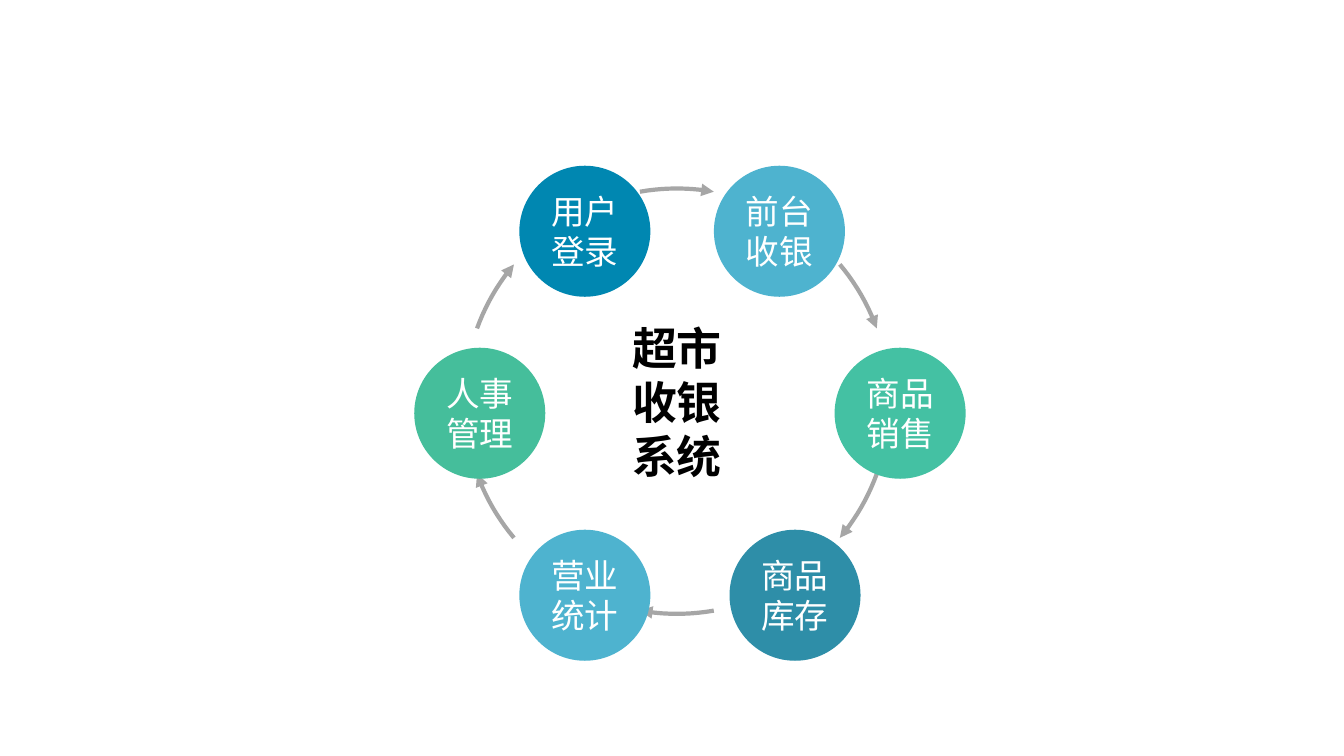
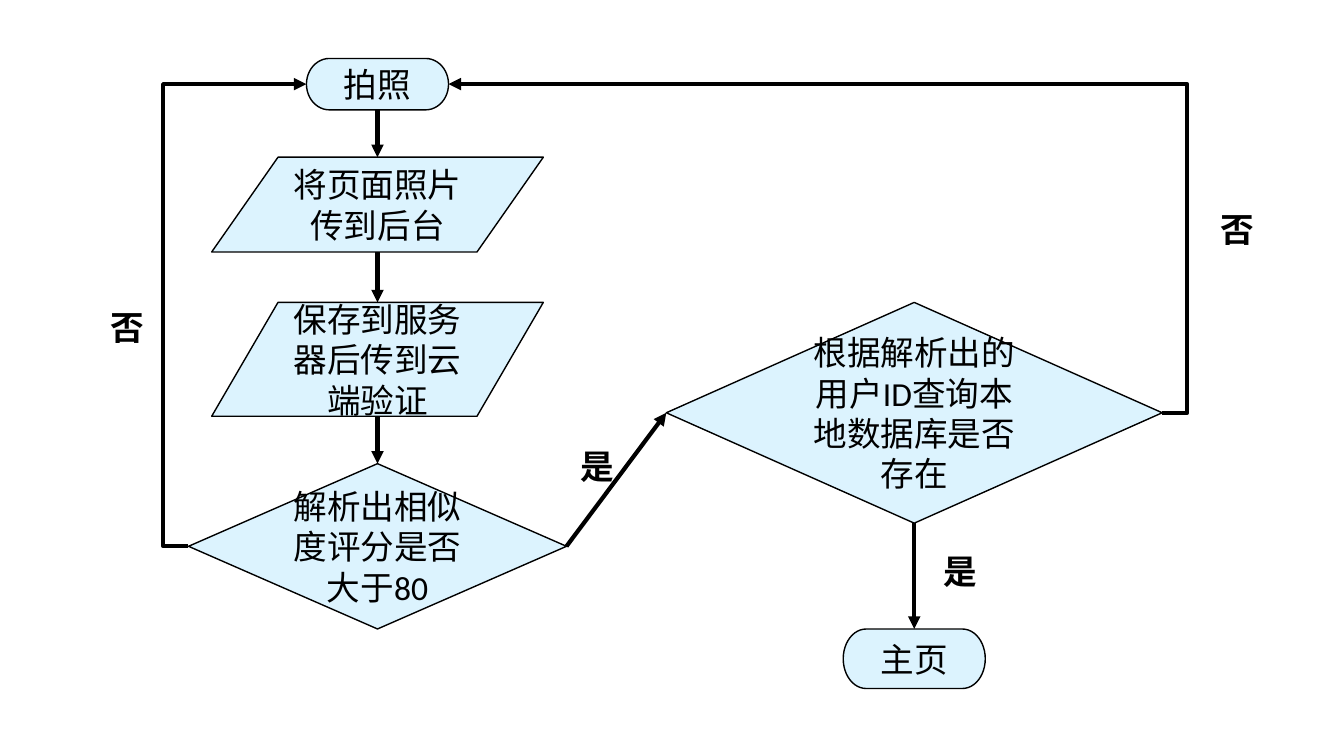
"""Build a cycle diagram and a flowchart, measured on a grid of 0.1 inch cells."""
import dataclasses
import math

import lxml.etree
import pptx
import pptx.dml.color
import pptx.enum.shapes
import pptx.enum.text
import pptx.oxml.ns
import pptx.util

SHAPE = pptx.enum.shapes.MSO_SHAPE
CONNECTOR = pptx.enum.shapes.MSO_CONNECTOR
ALIGN = pptx.enum.text.PP_ALIGN
ANCHOR = pptx.enum.text.MSO_ANCHOR
TOP, LEFT, BOTTOM, RIGHT = range(4)
COLUMNS, ROWS = 133.33, 75


@dataclasses.dataclass(frozen=True)
class Theme:
    """Colours, fonts and sizes of the presentation."""
    background: str = "FFFFFF"
    ink: str = "000000"
    light_text: str = "FFFFFF"
    step_fill: str = "DCF3FE"
    cycle_arrow: str = "A6A6A6"
    blue: str = "0087B1"
    sky: str = "4EB3CF"
    mint: str = "44C1A3"
    teal: str = "2E8EA8"
    green: str = "45BE9B"
    font: str = "Calibri"
    cycle_font: str = "League Spartan"
    body_size: int = 24
    title_size: int = 32
    arrow_width: int = 3
    outline_width: int = 1


THEME = Theme()


def cells(count):
    """Convert grid cells to a length."""
    return pptx.util.Inches(count / 10)


def rgb(value):
    """Convert a hexadecimal string to a colour."""
    return pptx.dml.color.RGBColor.from_string(value)


def add_blank_slide(presentation):
    """Add a blank slide with the shared background."""
    slide = presentation.slides.add_slide(presentation.slide_layouts[6])
    slide.background.fill.solid()
    slide.background.fill.fore_color.rgb = rgb(THEME.background)
    return slide


def write_lines(shape, lines, color=THEME.ink, font=THEME.font, size=THEME.body_size,
                bold=False, align=ALIGN.CENTER, anchor=ANCHOR.MIDDLE, inset=None):
    """Write one paragraph per line in a shape."""
    frame = shape.text_frame
    frame.word_wrap = True
    frame.vertical_anchor = anchor
    if inset is not None:
        frame.margin_left = frame.margin_right = cells(inset)
        frame.margin_top = frame.margin_bottom = cells(inset)
    for index, line in enumerate(lines):
        paragraph = frame.add_paragraph() if index else frame.paragraphs[0]
        paragraph.alignment = align
        run = paragraph.add_run()
        run.text = line
        run.font.name = font
        run.font.size = pptx.util.Pt(size)
        run.font.bold = bold
        run.font.color.rgb = rgb(color)


def add_text(slide, lines, left, top, width, height, **style):
    """Add a bold text box."""
    box = slide.shapes.add_textbox(*map(cells, (left, top, width, height)))
    write_lines(box, lines, bold=True, **style)


def add_filled_shape(slide, preset, left, top, width, height, color):
    """Add a preset shape with a plain fill and no shadow."""
    shape = slide.shapes.add_shape(preset, *map(cells, (left, top, width, height)))
    shape.shadow.inherit = False
    shape.fill.solid()
    shape.fill.fore_color.rgb = rgb(color)
    return shape


def style_arrow(arrow, color):
    """Style a line and put a triangle at its end."""
    arrow.line.color.rgb = rgb(color)
    arrow.line.width = pptx.util.Pt(THEME.arrow_width)
    outline = arrow._element.spPr.find(pptx.oxml.ns.qn("a:ln"))
    lxml.etree.SubElement(outline, pptx.oxml.ns.qn("a:tailEnd"), type="triangle")


def point_on_circle(center, radius, degrees):
    """Find the point at a clockwise angle from the top of a circle."""
    angle = math.radians(degrees)
    return center[0] + radius * math.sin(angle), center[1] - radius * math.cos(angle)


def add_arc_arrow(slide, center, radius, middle, half_span=10, segments=10):
    """Add a clockwise arc arrow around a middle angle."""
    angles = [middle - half_span + 2 * half_span * step / segments
              for step in range(segments + 1)]
    points = [tuple(map(cells, point_on_circle(center, radius, angle))) for angle in angles]
    builder = slide.shapes.build_freeform(*points[0])
    builder.add_line_segments(points[1:], close=False)
    arrow = builder.convert_to_shape()
    arrow.shadow.inherit = False
    arrow.fill.background()
    style_arrow(arrow, THEME.cycle_arrow)


def add_cycle_node(slide, center, lines, color, diameter=13):
    """Add a labelled circle."""
    left, top = (value - diameter / 2 for value in center)
    circle = add_filled_shape(slide, SHAPE.OVAL, left, top, diameter, diameter, color)
    circle.line.fill.background()
    write_lines(circle, lines, THEME.light_text, THEME.cycle_font, inset=0)


def add_step(slide, preset, center, top, width, height, text):
    """Add a flowchart step centred on a column."""
    step = add_filled_shape(slide, preset, center - width / 2, top, width, height,
                            THEME.step_fill)
    step.line.color.rgb = rgb(THEME.ink)
    step.line.width = pptx.util.Pt(THEME.outline_width)
    write_lines(step, [text])
    return step


def side_point(shape, side):
    """Find the middle of a side of a shape."""
    across, down = {TOP: (1, 0), LEFT: (0, 1), BOTTOM: (1, 2), RIGHT: (2, 1)}[side]
    return shape.left + shape.width * across // 2, shape.top + shape.height * down // 2


def add_flow_arrow(slide, start, start_side, end, end_side, detour=None):
    """Add a straight arrow, or an elbow that runs out sideways by a detour."""
    begin, finish = side_point(start, start_side), side_point(end, end_side)
    kind = CONNECTOR.STRAIGHT if detour is None else CONNECTOR.ELBOW
    arrow = slide.shapes.add_connector(kind, *begin, *finish)
    style_arrow(arrow, THEME.ink)
    properties = arrow._element.spPr
    lxml.etree.SubElement(properties, pptx.oxml.ns.qn("a:effectLst"))
    if detour is not None:
        ratio = -cells(detour) / abs(finish[0] - begin[0])
        values = properties.find(".//" + pptx.oxml.ns.qn("a:avLst"))
        lxml.etree.SubElement(values, pptx.oxml.ns.qn("a:gd"), name="adj1",
                              fmla=f"val {round(ratio * 100000)}")
        return
    if start.auto_shape_type != SHAPE.FLOWCHART_DATA:
        arrow.begin_connect(start, start_side)
    if end.auto_shape_type != SHAPE.FLOWCHART_DATA:
        arrow.end_connect(end, end_side)


def build_cycle(slide):
    """Draw the six modules of the system as a cycle."""
    hub, ring = (67.15, 39.8), (68.45, 41)
    add_text(slide, ["超市", "收银", "系统"], hub[0] - 11.45, hub[1] - 11.4, 22.9, 22.9,
             size=THEME.title_size, inset=0)
    for middle in range(0, 360, 60):
        add_arc_arrow(slide, hub, 21.1, middle)
    nodes = [
        (["用户", "登录"], THEME.blue, 0),
        (["前台", "收银"], THEME.sky, -1.55),
        (["商品", "销售"], THEME.mint, 0),
        (["商品", "库存"], THEME.teal, 0),
        (["营业", "统计"], THEME.sky, 0),
        (["人事", "管理"], THEME.green, 0),
    ]
    for index, (lines, color, shift) in enumerate(nodes):
        column, row = point_on_circle(ring, 20.85, 60 * index - 30)
        add_cycle_node(slide, (column + shift, row), lines, color)


def build_flowchart(slide):
    """Draw the photo login flow."""
    main_column, query_column = 37.45, 90.7
    photo = add_step(slide, SHAPE.FLOWCHART_TERMINATOR, main_column, 5.8, 14.1, 5.1, "拍照")
    upload = add_step(slide, SHAPE.FLOWCHART_DATA, main_column, 15.6, 32.9, 9.4,
                      "将页面照片传到后台")
    verify = add_step(slide, SHAPE.FLOWCHART_DATA, main_column, 30, 32.9, 11.3,
                      "保存到服务器后传到云端验证")
    score = add_step(slide, SHAPE.FLOWCHART_DECISION, main_column, 46, 37.5, 16.4,
                     "解析出相似度评分是否大于80")
    query = add_step(slide, SHAPE.FLOWCHART_DECISION, query_column, 30, 49.2, 21.9,
                     "根据解析出的用户ID查询本地数据库是否存在")
    home = add_step(slide, SHAPE.FLOWCHART_TERMINATOR, query_column, 62.4, 14.1, 5.9, "主页")

    for start, end in [(photo, upload), (upload, verify), (verify, score), (query, home)]:
        add_flow_arrow(slide, start, BOTTOM, end, TOP)
    add_flow_arrow(slide, score, RIGHT, query, LEFT)
    for decision, side in [(score, LEFT), (query, RIGHT)]:
        add_flow_arrow(slide, decision, side, photo, side, detour=2.5)

    for text, left, top in [("否", 10, 30), ("否", 120.1, 20.2),
                            ("是", 56.6, 43.7), ("是", 92.6, 54.2)]:
        add_text(slide, [text], left, top, 5, 5, align=ALIGN.LEFT, anchor=ANCHOR.TOP)


def main():
    """Build and save the presentation."""
    presentation = pptx.Presentation()
    presentation.slide_width = cells(COLUMNS)
    presentation.slide_height = cells(ROWS)
    for build in (build_cycle, build_flowchart):
        build(add_blank_slide(presentation))
    presentation.save("out.pptx")


if __name__ == "__main__":
    main()
